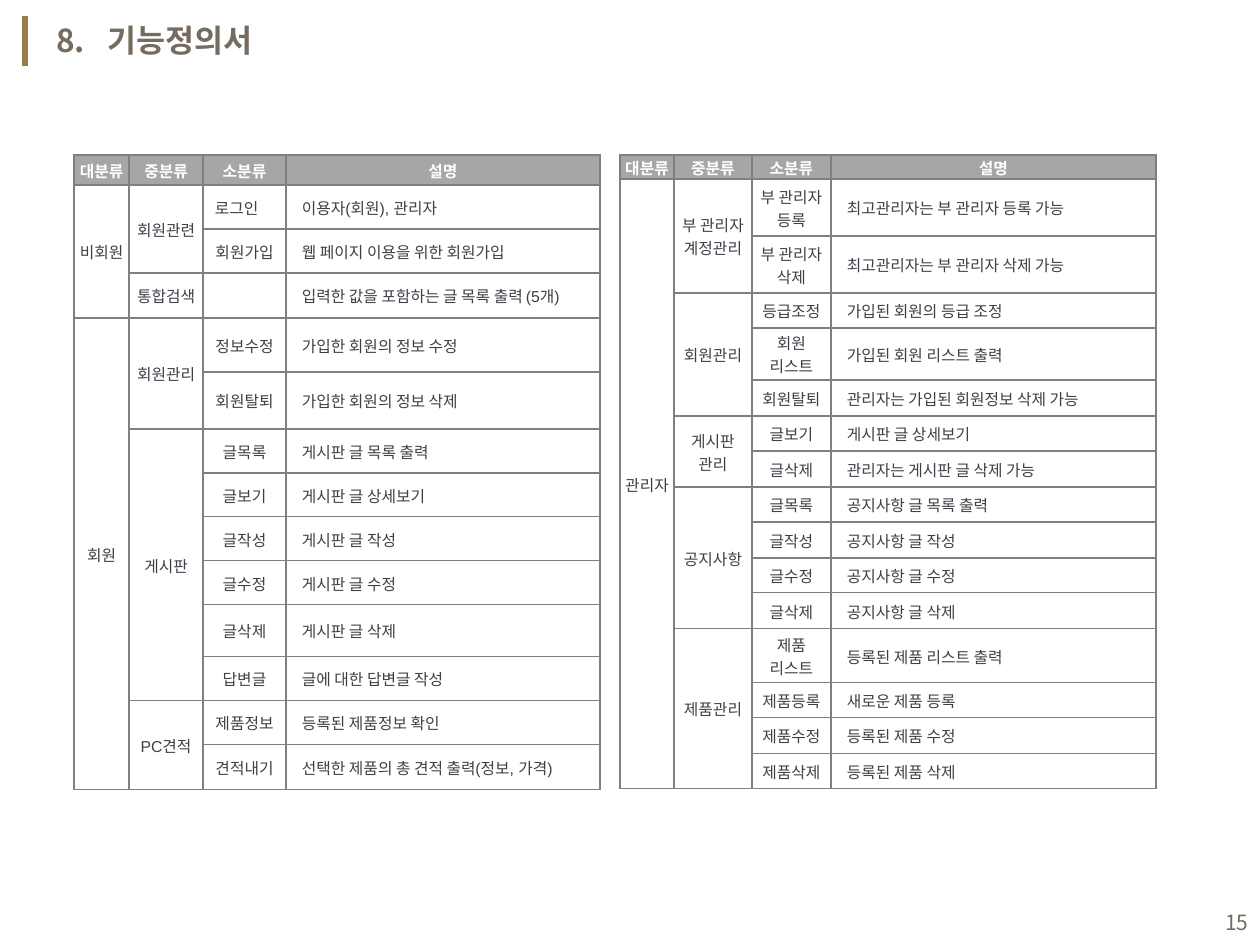
from lxml import etree
from pptx import Presentation
from pptx.dml.color import RGBColor
from pptx.enum.shapes import MSO_CONNECTOR
from pptx.enum.text import MSO_ANCHOR as Anchor, PP_ALIGN as Align
from pptx.oxml.ns import qn
from pptx.util import Pt

EMU_PER_PX = 914400 / 126
COLORS = {
    "accent": "987C4D",
    "heading": "756B5F",
    "body": "3F3F48",
    "border": "808080",
    "header": "A6A6A6",
    "white": "FFFFFF",
}
LATIN, KOREAN = "Arial", "Noto Sans CJK KR"
HEADERS = ["대분류", "중분류", "소분류", "설명"]

# Major category -> middle category -> (minor category, description, row height)
USER_FEATURES = {
    "비회원": {
        "회원관련": [
            ("로그인　", "이용자(회원), 관리자", 44),
            ("회원가입", "웹 페이지 이용을 위한 회원가입", 44),
        ],
        "통합검색": [("", "입력한 값을 포함하는 글 목록 출력 (5개)", 45)],
    },
    "회원": {
        "회원관리": [
            ("정보수정", "가입한 회원의 정보 수정", 54),
            ("회원탈퇴", "가입한 회원의 정보 삭제", 57),
        ],
        "게시판": [
            ("글목록", "게시판 글 목록 출력", 44),
            ("글보기", "게시판 글 상세보기", 44),
            ("글작성", "게시판 글 작성", 44),
            ("글수정", "게시판 글 수정", 44),
            ("글삭제", "게시판 글 삭제", 52),
            ("답변글", "글에 대한 답변글 작성", 44),
        ],
        "PC견적": [
            ("제품정보", "등록된 제품정보 확인", 44),
            ("견적내기", "선택한 제품의 총 견적 출력(정보, 가격)", 45),
        ],
    },
}
ADMIN_FEATURES = {
    "관리자": {
        "부 관리자\n계정관리": [
            ("부 관리자\n등록", "최고관리자는 부 관리자 등록 가능", 57),
            ("부 관리자\n삭제", "최고관리자는 부 관리자 삭제 가능", 57),
        ],
        "회원관리": [
            ("등급조정", "가입된 회원의 등급 조정", 35),
            ("회원\n리스트", "가입된 회원 리스트 출력", 52),
            ("회원탈퇴", "관리자는 가입된 회원정보 삭제 가능", 36),
        ],
        "게시판\n관리": [
            ("글보기", "게시판 글 상세보기", 35),
            ("글삭제", "관리자는 게시판 글 삭제 가능", 36),
        ],
        "공지사항": [
            ("글목록", "공지사항 글 목록 출력", 35),
            ("글작성", "공지사항 글 작성", 36),
            ("글수정", "공지사항 글 수정", 35),
            ("글삭제", "공지사항 글 삭제", 36),
        ],
        "제품관리": [
            ("제품\n리스트", "등록된 제품 리스트 출력", 54),
            ("제품등록", "새로운 제품 등록", 35),
            ("제품수정", "등록된 제품 수정", 36),
            ("제품삭제", "등록된 제품 삭제", 35),
        ],
    },
}


def px(length):
    return round(length * EMU_PER_PX)


def rgb(color):
    return RGBColor.from_string(COLORS[color])


class SlideBuilder:
    def __init__(self, slide):
        self.slide = slide

    def format_text(self, frame, size, color, font=LATIN, bold=False, align=Align.LEFT):
        for paragraph in frame.paragraphs:
            paragraph.alignment = align
            for run in paragraph.runs:
                run.font.size = Pt(size)
                run.font.bold = bold
                run.font.name = font
                run.font.color.rgb = rgb(color)
                east_asian = etree.Element(qn("a:ea"), typeface=KOREAN)
                run.font._element.find(qn("a:latin")).addnext(east_asian)

    def indent(self, paragraph, left, first=0):
        properties = paragraph._p.get_or_add_pPr()
        properties.set("marL", str(px(left)))
        properties.set("indent", str(px(first)))

    def line(self, x1, y1, x2, y2, color, width):
        rule = self.slide.shapes.add_connector(
            MSO_CONNECTOR.STRAIGHT, px(x1), px(y1), px(x2), px(y2))
        rule.line.color.rgb = rgb(color)
        rule.line.width = Pt(width)
        etree.SubElement(rule._element.spPr, qn("a:effectLst"))

    def text(self, x, y, width, height, content, size, anchor=Anchor.TOP, **style):
        box = self.slide.shapes.add_textbox(px(x), px(y), px(width), px(height))
        frame = box.text_frame
        frame.word_wrap = True
        frame.vertical_anchor = anchor
        frame.text = content
        self.format_text(frame, size, "heading", KOREAN, **style)
        return frame

    def border(self, cell):
        properties = cell._tc.get_or_add_tcPr()
        for side in ("lnL", "lnR", "lnT", "lnB"):
            edge = etree.SubElement(properties, qn(f"a:{side}"), w=str(Pt(1)))
            fill = etree.SubElement(edge, qn("a:solidFill"))
            etree.SubElement(fill, qn("a:srgbClr"), val=COLORS["border"])

    def cell(self, cell, content, fill="white", color="body", bold=False, align=Align.CENTER):
        cell.text = content
        cell.vertical_anchor = Anchor.MIDDLE
        cell.margin_left = cell.margin_right = cell.margin_top = px(1)
        cell.margin_bottom = 0
        self.format_text(cell.text_frame, 9, color, bold=bold, align=align)
        self.border(cell)
        cell.fill.solid()
        cell.fill.fore_color.rgb = rgb(fill)

    def feature_table(self, x, y, column_widths, header_height, features):
        """Draw a table whose two category columns are merged over their rows."""
        rows, spans = [], []
        for major, middles in features.items():
            major_start = len(rows) + 1
            for middle, items in middles.items():
                middle_start = len(rows) + 1
                for minor, description, height in items:
                    first_of_major = len(rows) + 1 == major_start
                    first_of_middle = len(rows) + 1 == middle_start
                    labels = [major if first_of_major else "",
                              middle if first_of_middle else "", minor, description]
                    rows.append((labels, height))
                spans.append((1, middle_start, len(rows)))
            spans.append((0, major_start, len(rows)))

        heights = [header_height] + [height for _, height in rows]
        table = self.slide.shapes.add_table(
            len(heights), len(HEADERS), px(x), px(y),
            px(sum(column_widths)), px(sum(heights))).table
        table.first_row = table.horz_banding = False
        for column, width in zip(table.columns, column_widths):
            column.width = px(width)
        for row, height in zip(table.rows, heights):
            row.height = px(height)

        for c, heading in enumerate(HEADERS):
            self.cell(table.cell(0, c), heading, "header", "white", bold=True)
        for r, (labels, _) in enumerate(rows, 1):
            for c, label in enumerate(labels):
                is_description = c == len(HEADERS) - 1
                cell = table.cell(r, c)
                self.cell(cell, label, align=Align.LEFT if is_description else Align.CENTER)
                if is_description:
                    self.indent(cell.text_frame.paragraphs[0], 15)
        for c, first, last in spans:
            if last > first:
                table.cell(first, c).merge(table.cell(last, c))


def main():
    deck = Presentation()
    deck.slide_width, deck.slide_height = px(1260), px(945)
    builder = SlideBuilder(deck.slides.add_slide(deck.slide_layouts[6]))

    builder.line(25, 16, 25, 66, "accent", 3)
    builder.text(968, 897, 293, 50, "15", 12, Anchor.MIDDLE, align=Align.RIGHT)
    title = builder.text(44, 15, 404, 50, "8.\t기능정의서", 18, bold=True)
    builder.indent(title.paragraphs[0], 51, -51)

    builder.feature_table(74, 155, [55, 74, 83, 314], 30, USER_FEATURES)
    builder.feature_table(620, 155, [54, 78, 79, 325], 24, ADMIN_FEATURES)
    deck.save("out.pptx")


if __name__ == "__main__":
    main()
